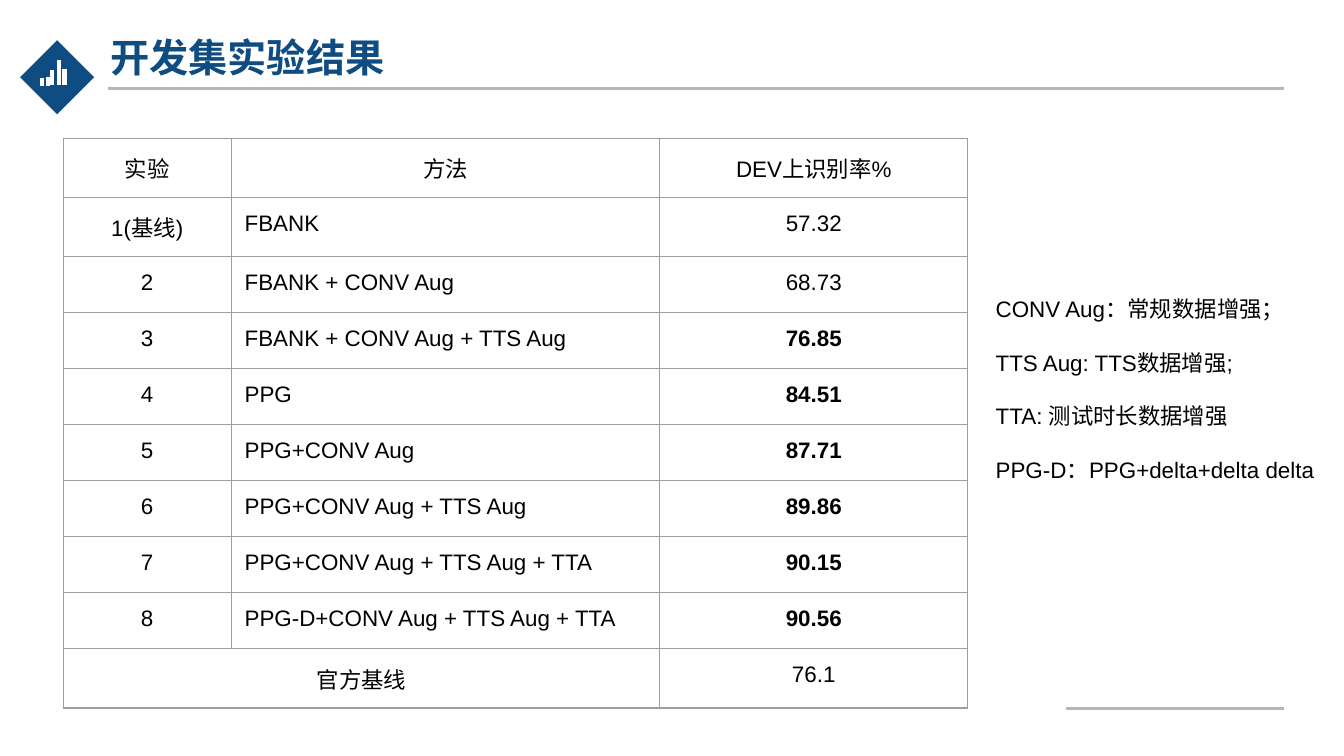
"""Build the slide with the development set results table."""
from lxml import etree
from pptx import Presentation
from pptx.dml.color import RGBColor
from pptx.enum import shapes, text
from pptx.oxml import ns
from pptx.util import Inches, Pt

BLUE, GREY, WHITE, BLACK = "0F4C81", "B6B6B6", "FFFFFF", "000000"
CJK = "Noto Sans CJK SC"


def color(value):
    return RGBColor.from_string(value)


def add_run(p, words, size=12, font="Arial", fill=BLACK, bold=False):
    r = p.add_run()
    r.text = words
    r.font.size, r.font.name, r.font.bold = Pt(size), font, bold
    r.font.color.rgb = color(fill)
    etree.SubElement(r.font._element, ns.qn("a:ea"), typeface=CJK)


prs = Presentation()
prs.slide_width, prs.slide_height = Inches(10), Inches(10 * 9 / 16)
s = prs.slides.add_slide(prs.slide_layouts[6])

diamond = s.shapes.add_shape(shapes.MSO_SHAPE.RECTANGLE, Inches(0.23), Inches(0.38),
                             Inches(0.39), Inches(0.39))
diamond.rotation = 45
diamond.shadow.inherit = False
diamond.fill.solid()
diamond.fill.fore_color.rgb = color(BLUE)
diamond.line.fill.background()

bars = [(0.31, 0.58, 0.64), (0.36, 0.57, 0.64), (0.39, 0.52, 0.63),
        (0.44, 0.45, 0.63), (0.48, 0.51, 0.63)]
rules = [(0.8, 0.66, 9.55, 0.66, GREY, 1.5), (7.93, 5.27, 9.55, 5.27, GREY, 1.5)]
rules += [(x, top, x, bottom, WHITE, 2.24) for x, top, bottom in bars]
for x1, y1, x2, y2, fill, width in rules:
    line = s.shapes.add_connector(shapes.MSO_CONNECTOR.STRAIGHT, Inches(x1), Inches(y1),
                                  Inches(x2), Inches(y2))
    line.line.color.rgb = color(fill)
    line.line.width = Pt(width)
    etree.SubElement(line._element.spPr, ns.qn("a:effectLst"))

title = s.shapes.add_textbox(Inches(0.75), Inches(0.21), Inches(7.8), Inches(0.42))
tf = title.text_frame
tf.word_wrap = True
tf.vertical_anchor = text.MSO_ANCHOR.MIDDLE
tf.margin_left = tf.margin_right = Inches(0.07)
tf.margin_top = tf.margin_bottom = Inches(0.04)
add_run(tf.paragraphs[0], "开发集实验结果", 21, CJK, BLUE, True)

results = [
    ("实验", "方法", "DEV上识别率%"),
    ("1(基线)", "FBANK", "57.32"),
    ("2", "FBANK + CONV Aug", "68.73"),
    ("3", "FBANK + CONV Aug + TTS Aug", "76.85"),
    ("4", "PPG", "84.51"),
    ("5", "PPG+CONV Aug ", "87.71"),
    ("6", "PPG+CONV Aug + TTS Aug", "89.86"),
    ("7", "PPG+CONV Aug + TTS Aug + TTA", "90.15"),
    ("8", "PPG-D+CONV Aug + TTS Aug + TTA", "90.56"),
    ("官方基线", "", "76.1"),
]
last = len(results) - 1
frame = s.shapes.add_table(len(results), 3, Inches(0.47), Inches(1.03),
                           Inches(6.73), Inches(4.24))
table = frame.table
table.first_row = table.horz_banding = False
for column, width in zip(table.columns, (1.25, 3.19, 2.29)):
    column.width = Inches(width)
table.cell(last, 0).merge(table.cell(last, 1))

for i, row in enumerate(results):
    table.rows[i].height = Inches(0.44) if i in (0, 1, last) else Inches(4.17 / len(results))
    for j, words in enumerate(row):
        cell = table.cell(i, j)
        cell.margin_left = cell.margin_right = Inches(0.1)
        cell.margin_top = cell.margin_bottom = Inches(0.1)
        tcPr = cell._tc.get_or_add_tcPr()
        for side in ("lnL", "lnR", "lnT", "lnB"):
            ln = etree.SubElement(tcPr, ns.qn("a:" + side), w=str(Pt(0.75)))
            solid = etree.SubElement(ln, ns.qn("a:solidFill"))
            etree.SubElement(solid, ns.qn("a:srgbClr"), val="9E9E9E")
        cell.fill.background()
        if words:
            p = cell.text_frame.paragraphs[0]
            left = j == 1 and i > 0
            p.alignment = text.PP_ALIGN.LEFT if left else text.PP_ALIGN.CENTER
            add_run(p, words, bold=j == 2 and 3 <= i < last)

notes = ["CONV Aug：常规数据增强；", "TTS Aug: TTS数据增强; ",
         "TTA: 测试时长数据增强", "PPG-D：PPG+delta+delta delta"]
legend = s.shapes.add_textbox(Inches(7.31), Inches(2.15), Inches(2.69), Inches(1.51))
tf = legend.text_frame
tf.word_wrap = True
for i, note in enumerate(notes):
    p = tf.add_paragraph() if i else tf.paragraphs[0]
    p.space_before = Pt(14.2 if i else 0)
    add_run(p, note)

prs.save("out.pptx")
